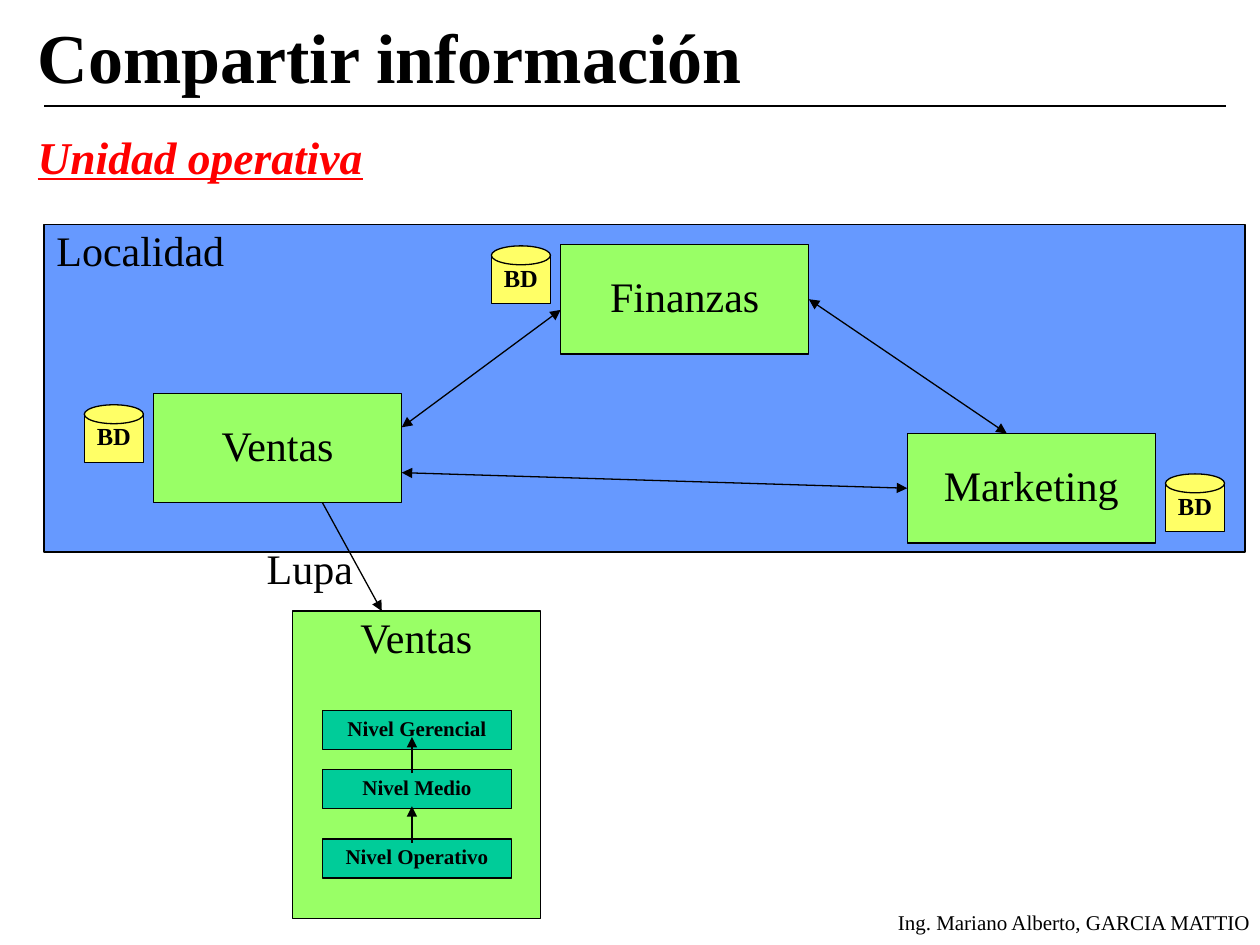
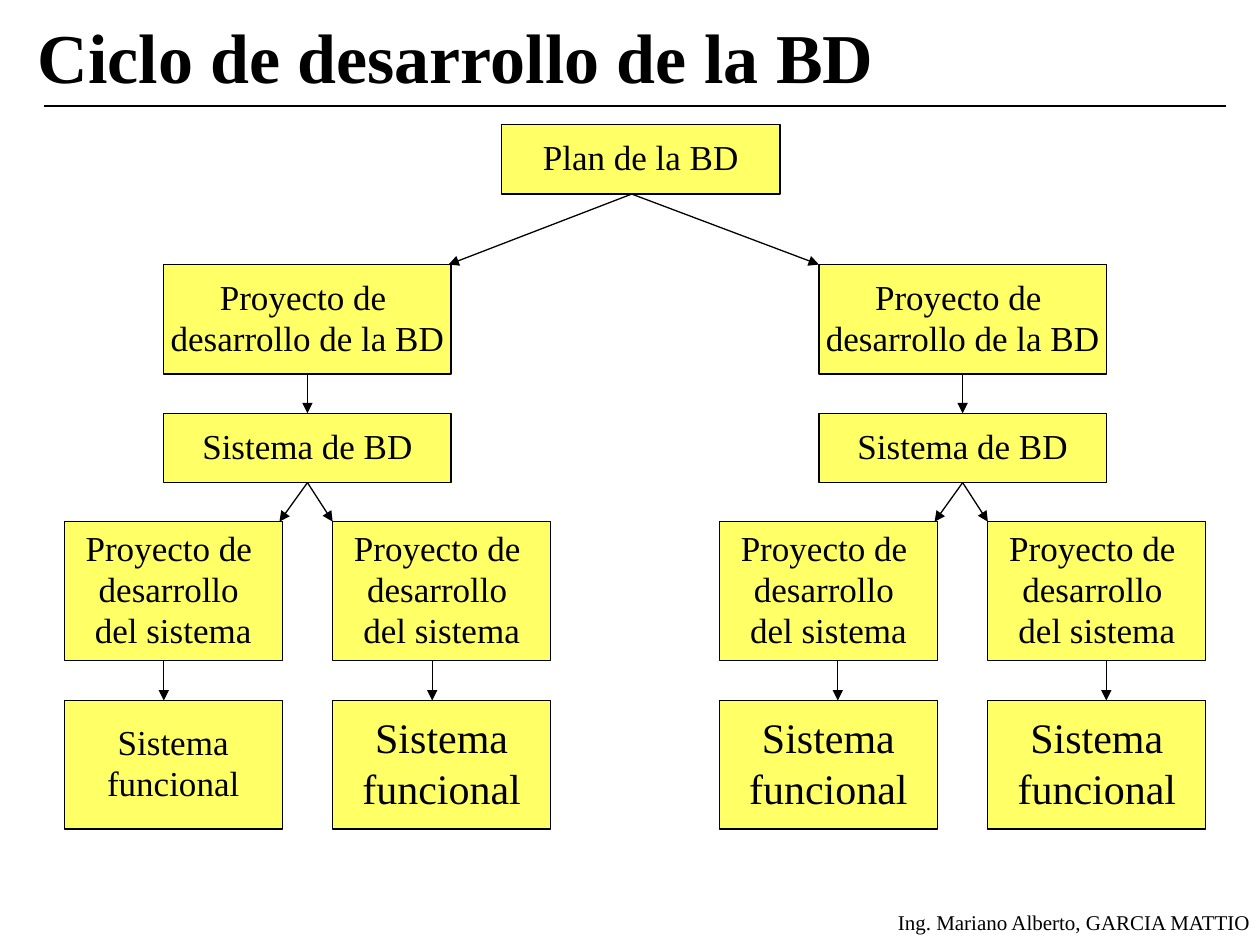
from collections import namedtuple
from dataclasses import dataclass, field

from lxml import etree
from pptx import Presentation
from pptx.dml.color import RGBColor
from pptx.enum import shapes as kinds, text as txt
from pptx.oxml import ns
from pptx.util import Pt

Box = namedtuple("Box", "x y w h")
LEFT, CENTER, RIGHT = txt.PP_ALIGN.LEFT, txt.PP_ALIGN.CENTER, txt.PP_ALIGN.RIGHT
TOP, MIDDLE = txt.MSO_ANCHOR.TOP, txt.MSO_ANCHOR.MIDDLE
SIDE_TOP, SIDE_LEFT, SIDE_BOTTOM, SIDE_RIGHT = range(4)


@dataclass(frozen=True)
class Theme:
    font: str = "Times New Roman"
    ink: str = "000000"
    accent: str = "FF0000"
    locality: str = "6699FF"
    department: str = "99FF66"
    level: str = "00CC99"
    data: str = "FFFF66"
    title: int = 40
    heading: int = 26
    label: int = 24
    step: int = 20
    database: int = 14
    small: int = 12
    outline: float = 0.75
    first_spacing: dict = field(default_factory=lambda: {
        40: 0.92, 26: 0.94, 24: 0.9, 20: 0.92, 14: 0.89, 12: 0.83})
    next_spacing: dict = field(default_factory=lambda: {20: 0.98, 24: 1.0})


THEME = Theme()


def points(*lengths):
    return [Pt(length) for length in lengths]


def inside(box, x, y, w, h):
    return Box(box.x + x, box.y + y, w, h)


def write(frame, lines, size, align=CENTER, anchor=MIDDLE, color=THEME.ink,
          wrap=False, **emphasis):
    frame.word_wrap = wrap
    frame.auto_size = txt.MSO_AUTO_SIZE.NONE
    frame.vertical_anchor = anchor
    frame.margin_left = frame.margin_right = Pt(7.2)
    frame.margin_top = frame.margin_bottom = Pt(3.6)
    for index, line in enumerate(lines):
        paragraph = frame.add_paragraph() if index else frame.paragraphs[0]
        paragraph.alignment = align
        spacing = THEME.next_spacing if index else THEME.first_spacing
        paragraph.line_spacing = spacing[size]
        run = paragraph.add_run()
        run.text = line
        run.font.name = THEME.font
        run.font.size = Pt(size)
        run.font.color.rgb = RGBColor.from_string(color)
        for name, value in emphasis.items():
            setattr(run.font, name, value)


def add_label(slide, box, line, size, **style):
    label = slide.shapes.add_textbox(*points(*box))
    write(label.text_frame, [line], size, anchor=TOP, **style)
    return label


def add_block(slide, box, fill, lines=(), size=THEME.label,
              kind=kinds.MSO_SHAPE.RECTANGLE, **style):
    block = slide.shapes.add_shape(kind, *points(*box))
    block.shadow.inherit = False
    block.fill.solid()
    block.fill.fore_color.rgb = RGBColor.from_string(fill)
    block.line.color.rgb = RGBColor.from_string(THEME.ink)
    block.line.width = Pt(THEME.outline)
    write(block.text_frame, lines, size, **style)
    return block


def add_line(slide, start, end, heads=("tailEnd",), begin_at=None, end_at=None):
    line = slide.shapes.add_connector(
        kinds.MSO_CONNECTOR.STRAIGHT, *points(*start, *end))
    if begin_at:
        line.begin_connect(*begin_at)
    if end_at:
        line.end_connect(*end_at)
    line.line.color.rgb = RGBColor.from_string(THEME.ink)
    line.line.width = Pt(THEME.outline)
    properties = line.element.spPr
    stroke = properties.find(ns.qn("a:ln"))
    for head in heads:
        etree.SubElement(stroke, ns.qn("a:" + head), type="triangle")
    etree.SubElement(properties, ns.qn("a:effectLst"))


def start_slide(deck, layout, heading):
    slide = deck.slides.add_slide(layout)
    title = slide.shapes.title
    title.left, title.top, title.width, title.height = points(14.4, 7.2, 686.2, 54.7)
    write(title.text_frame, [heading], THEME.title, align=LEFT, wrap=True, bold=True)
    add_line(slide, (25.2, 60.5), (700.6, 60.5), heads=())
    return slide


def place_footer(slide, layout):
    footer = add_label(slide, Box(503.3, 518.4, 218.2, 19.4),
                       "Ing. Mariano Alberto, GARCIA MATTIO", THEME.small, align=RIGHT)
    layout.shapes.element.append(footer.element)


def draw_database(slide, box):
    add_block(slide, box, THEME.data, ["BD"], THEME.database, bold=True)
    add_block(slide, inside(box, 0, -5, box.w, 10.8), THEME.data,
              kind=kinds.MSO_SHAPE.OVAL)


def draw_locality(slide, box):
    add_block(slide, box, THEME.locality, ["Localidad"], align=LEFT, anchor=TOP)
    departments = {
        "Ventas": ((62.6, 96.5), (-39.6, 11.6)),
        "Marketing": ((493.2, 119.5), (147.6, 28.1)),
        "Finanzas": ((295.2, 11.5), (-39.6, 5.8)),
    }
    places, blocks = {}, {}
    for name, (offset, database_offset) in departments.items():
        places[name] = place = inside(box, *offset, 141.8, 62.6)
        blocks[name] = add_block(slide, place, THEME.department, [name])
        draw_database(slide, inside(place, *database_offset, 33.8, 28.1))

    sales, marketing, finance = places.values()
    sales_right = sales.x + sales.w
    both = ("headEnd", "tailEnd")
    add_line(slide, (sales_right, sales.y + 19.5), (finance.x, finance.y + 37.4), both)
    add_line(slide, (sales_right, sales.y + 45.4),
             (marketing.x, marketing.y + marketing.h / 2), both,
             end_at=(blocks["Marketing"], SIDE_LEFT))
    add_line(slide, (finance.x + finance.w, finance.y + finance.h / 2),
             (marketing.x + 56.9, marketing.y), both,
             begin_at=(blocks["Finanzas"], SIDE_RIGHT))
    return sales


def draw_sales_levels(slide, box):
    add_block(slide, box, THEME.department, ["Ventas"], anchor=TOP)
    levels = {"Nivel Gerencial": 56.9, "Nivel Medio": 90.7, "Nivel Operativo": 130.3}
    for name, y in levels.items():
        add_block(slide, inside(box, 17.3, y, 108, 22.3), THEME.level,
                  [name], THEME.small, bold=True)
    arrow_x = box.x + 68.4
    for y in list(levels.values())[1:]:
        start_y = box.y + y + 2.1
        add_line(slide, (arrow_x, start_y), (arrow_x, start_y - 20.9))


def draw_operating_unit(slide):
    add_label(slide, Box(14.4, 72.5, 691.9, 436.3), "Unidad operativa", THEME.heading,
              align=LEFT, color=THEME.accent, wrap=True,
              bold=True, italic=True, underline=True)
    sales = draw_locality(slide, Box(25.2, 128.2, 686.2, 187.2))
    detail = Box(167, 349.2, 141.8, 175.7)
    draw_sales_levels(slide, detail)
    add_line(slide, (sales.x + 96.5, sales.y + sales.h), (detail.x + 51.2, detail.y))
    add_label(slide, Box(141.1, 309.6, 72, 33.1), "Lupa", THEME.label)


def draw_branch(slide, box, drop_x, functional_sizes):
    project_box = inside(box, 56.9, 0, 164.2, 62.6)
    system_box = inside(box, 56.9, 85, 164.2, 39.6)
    project = add_block(slide, project_box, THEME.data,
                        ["Proyecto de ", "desarrollo de la BD"], THEME.step)
    system = add_block(slide, system_box, THEME.data, ["Sistema de BD"], THEME.step)
    center = project_box.x + project_box.w / 2
    add_line(slide, (center, project_box.y + project_box.h), (center, system_box.y),
             begin_at=(project, SIDE_BOTTOM), end_at=(system, SIDE_TOP))

    leaf_w = 124.6
    for x, fork_x, size in zip((0, box.w - leaf_w), (123, box.w - leaf_w),
                               functional_sizes):
        development = inside(box, x, 146.9, leaf_w, 79.2)
        functional = inside(box, x, 249.1, leaf_w, 73.4)
        add_block(slide, development, THEME.data,
                  ["Proyecto de ", "desarrollo ", "del sistema"], THEME.step)
        add_block(slide, functional, THEME.data, ["Sistema", "funcional"], size)
        add_line(slide, (center, system_box.y + system_box.h),
                 (box.x + fork_x, development.y), begin_at=(system, SIDE_BOTTOM))
        add_line(slide, (development.x + drop_x, development.y + development.h),
                 (functional.x + drop_x, functional.y))


def draw_cycle(slide):
    plan = Box(286.6, 71.3, 159.1, 39.6)
    add_block(slide, plan, THEME.data, ["Plan de la BD"], THEME.step)
    left = Box(36.7, 151.2, 278, 322.5)
    right = left._replace(x=left.x + 374.4)
    draw_branch(slide, left, 56.9, (THEME.step, THEME.label))
    draw_branch(slide, right, 67.7, (THEME.label, THEME.label))
    fork = (plan.x + 74.4, plan.y + plan.h)
    for end_x in (left.x + 219.6, right.x + 56.9):
        add_line(slide, fork, (end_x, left.y))


def main():
    deck = Presentation()
    deck.slide_width, deck.slide_height = points(720, 540)
    layout = deck.slide_layouts[5]
    sharing = start_slide(deck, layout, "Compartir información")
    place_footer(sharing, layout)
    draw_operating_unit(sharing)
    draw_cycle(start_slide(deck, layout, "Ciclo de desarrollo de la BD"))
    deck.save("out.pptx")


if __name__ == "__main__":
    main()
